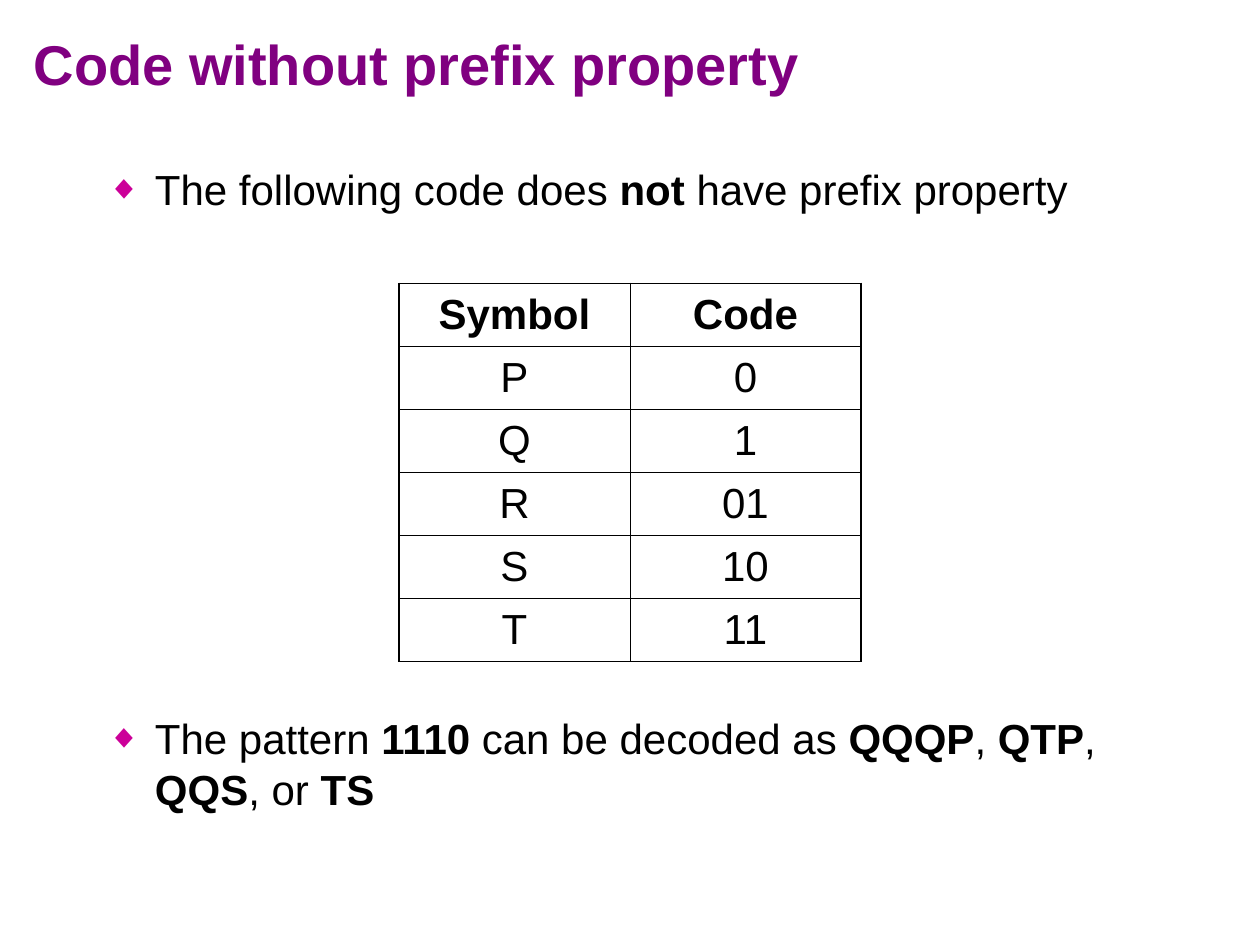
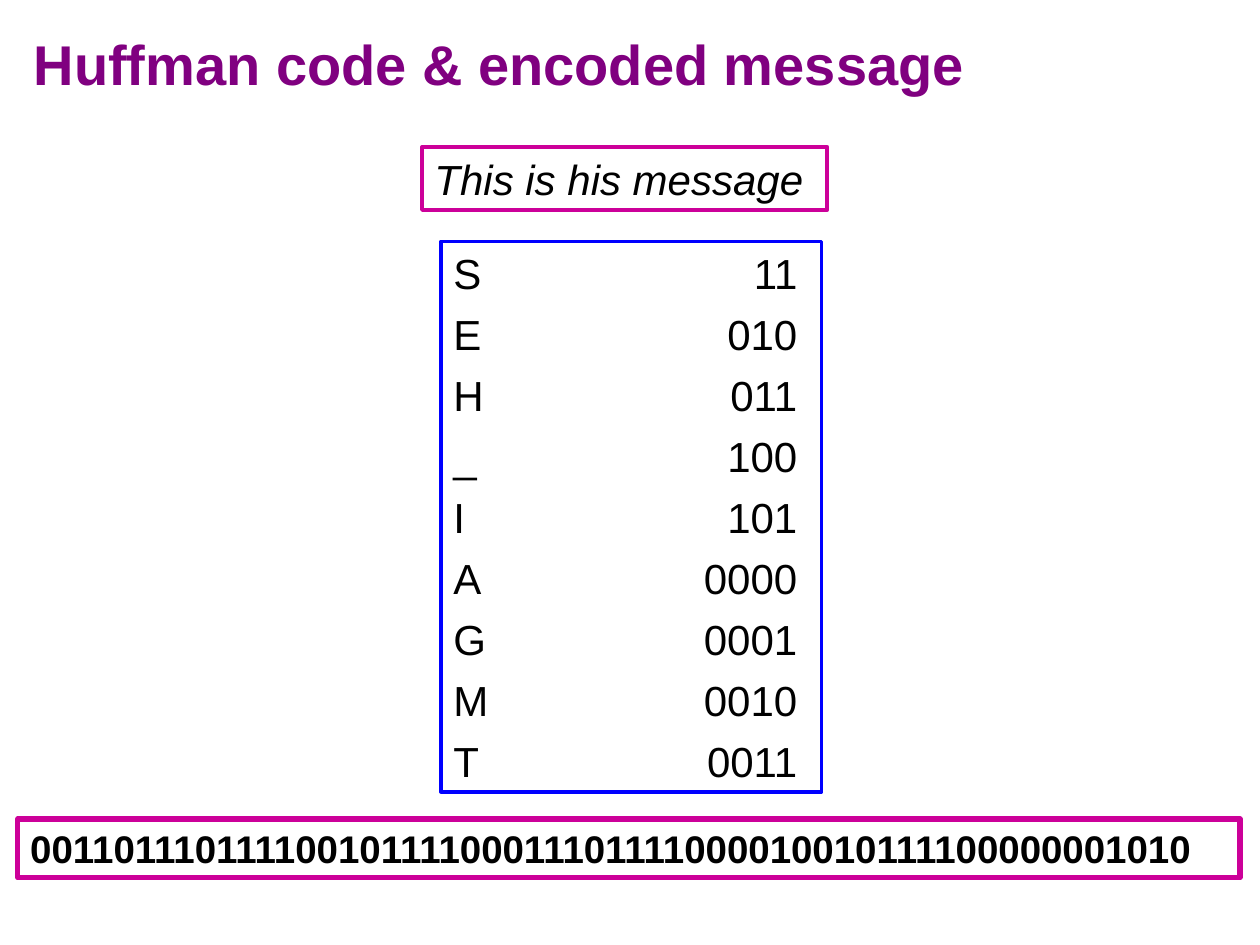
from typing import NamedTuple

from lxml import etree
from pptx import Presentation, util as u
from pptx.dml.color import RGBColor
from pptx.enum import shapes, text
from pptx.oxml import ns

# The slide is a grid of 60 columns by 45 rows.
SLIDE_W, SLIDE_H = u.Inches(10), u.Inches(7.5)
COLUMN, ROW = SLIDE_W // 60, SLIDE_H // 45

FONT = "Arial"
PURPLE, MAGENTA, BLUE, BLACK = "800080", "CC0099", "0000FF", "000000"
TITLE_SIZE, TEXT_SIZE = 32, 24
LINE_PITCH, PARAGRAPH_GAP = 28.8, 6
OUTER_BORDER, INNER_BORDER = 1.08, 0.45
CODE_TAB = 2.73


class Area(NamedTuple):
    column: float
    row: float
    columns: float
    rows: float

    def lengths(self) -> tuple[int, ...]:
        return (int(self.column * COLUMN), int(self.row * ROW),
                int(self.columns * COLUMN), int(self.rows * ROW))


class Style(NamedTuple):
    size: float = TEXT_SIZE
    color: str = BLACK
    bold: bool = False
    italic: bool = False


class Frame(NamedTuple):
    area: Area
    color: str
    weight: float
    style: Style = Style()
    wrap: bool = True


class Bullet(NamedTuple):
    """Every second phrase of the bullet's text is bold."""
    phrases: tuple[str, ...]
    gap_before: float = 0


TITLE_AREA = Area(1, 0.25, 58, 5.5)
BODY_AREA = Area(4.5, 7.5, 51, 34.5)
TABLE_AREA = Area(19, 13.5, 22, 18)
CODE_LIST = Frame(Area(21, 11.5, 18.12, 26.2), BLUE, 2.25)
MESSAGE = Frame(Area(20.1, 7, 19.3, 3), MAGENTA, 2.25, Style(italic=True), wrap=False)
ENCODED = Frame(Area(0.85, 39, 58.2, 2.8), MAGENTA, 3, Style(22, bold=True), wrap=False)

AMBIGUOUS_BULLETS = [
    Bullet(("The following code does ", "not", " have prefix property")),
    Bullet(("The pattern ", "1110", " can be decoded as ", "QQQP", ", ", "QTP",
            ", ", "QQS", ", or ", "TS"), gap_before=285),
]
AMBIGUOUS_CODE = [("Symbol", "Code"), ("P", "0"), ("Q", "1"), ("R", "01"),
                  ("S", "10"), ("T", "11")]
HUFFMAN_CODE = {"S": "11", "E": "010", "H": "011", "_": "100", "I": "101",
                "A": "0000", "G": "0001", "M": "0010", "T": "0011"}
ENCODED_MESSAGE = "00110111011110010111100011101111000010010111100000001010"


def rgb(color: str) -> RGBColor:
    return RGBColor.from_string(color)


def add_xml(parent, tag: str, **attributes):
    child = etree.SubElement(parent, ns.qn(tag))
    for key, value in attributes.items():
        child.set(key, str(value))
    return child


def format_font(font, style: Style) -> None:
    font.name = FONT
    font.size = u.Pt(style.size)
    font.bold = style.bold
    font.italic = style.italic
    font.color.rgb = rgb(style.color)


def place(shape, area: Area) -> None:
    shape.left, shape.top, shape.width, shape.height = area.lengths()


def add_titled_slide(deck, layout: int, title: str):
    slide = deck.slides.add_slide(deck.slide_layouts[layout])
    heading = slide.shapes.title
    place(heading, TITLE_AREA)
    frame = heading.text_frame
    frame.text = title
    frame.auto_size = text.MSO_AUTO_SIZE.NONE
    frame.vertical_anchor = text.MSO_ANCHOR.MIDDLE
    line = frame.paragraphs[0]
    line.alignment = text.PP_ALIGN.LEFT
    format_font(line.runs[0].font, Style(TITLE_SIZE, PURPLE, bold=True))
    return slide


def add_bullets(slide, bullets: list[Bullet]) -> None:
    body = slide.placeholders[1]
    place(body, BODY_AREA)
    frame = body.text_frame
    frame.auto_size = text.MSO_AUTO_SIZE.NONE
    for index, bullet in enumerate(bullets):
        line = frame.add_paragraph() if index else frame.paragraphs[0]
        line.line_spacing = u.Pt(LINE_PITCH)
        line.space_before = u.Pt(bullet.gap_before)
        properties = line._p.get_or_add_pPr()
        indent = u.Inches(0.38)
        properties.set("marL", str(indent))
        properties.set("indent", str(-indent))
        add_xml(add_xml(properties, "a:buClr"), "a:srgbClr", val=MAGENTA)
        add_xml(properties, "a:buSzPct", val=80000)
        add_xml(properties, "a:buFont", typeface=FONT)
        add_xml(properties, "a:buChar", char="◆")
        for position, phrase in enumerate(bullet.phrases):
            run = line.add_run()
            run.text = phrase
            format_font(run.font, Style(bold=position % 2 == 1))


def add_border(cell, side: str, weight: float) -> None:
    edge = add_xml(cell._tc.get_or_add_tcPr(), f"a:ln{side}", w=u.Pt(weight))
    add_xml(add_xml(edge, "a:solidFill"), "a:srgbClr", val=BLACK)


def add_code_table(slide, rows: list[tuple[str, str]]) -> None:
    last_row, last_column = len(rows) - 1, len(rows[0]) - 1
    table = slide.shapes.add_table(len(rows), len(rows[0]), *TABLE_AREA.lengths()).table
    table.first_row = table.horz_banding = False
    for r, values in enumerate(rows):
        for c, value in enumerate(values):
            cell = table.cell(r, c)
            cell.text = value
            cell.vertical_anchor = text.MSO_ANCHOR.MIDDLE
            line = cell.text_frame.paragraphs[0]
            line.alignment = text.PP_ALIGN.CENTER
            format_font(line.runs[0].font, Style(bold=r == 0))
            outer_sides = {"L": c == 0, "R": c == last_column,
                           "T": r == 0, "B": r == last_row}
            for side, is_outer in outer_sides.items():
                add_border(cell, side, OUTER_BORDER if is_outer else INNER_BORDER)
            cell.fill.background()


def add_framed_text(slide, look: Frame, lines: list[str], tab: float = 0) -> None:
    """Draw an outlined box of lines, with a right-aligned tab stop if given."""
    box = slide.shapes.add_shape(shapes.MSO_SHAPE.RECTANGLE, *look.area.lengths())
    box.shadow.inherit = False
    box.fill.background()
    box.line.color.rgb = rgb(look.color)
    box.line.width = u.Pt(look.weight)
    frame = box.text_frame
    frame.word_wrap = look.wrap
    frame.vertical_anchor = text.MSO_ANCHOR.TOP
    frame.text = "\n".join(lines)
    for index, line in enumerate(frame.paragraphs):
        line.alignment = text.PP_ALIGN.LEFT
        line.line_spacing = u.Pt(LINE_PITCH * look.style.size / TEXT_SIZE)
        line.space_before = u.Pt(PARAGRAPH_GAP if index else 0)
        if tab:
            stops = add_xml(line._p.get_or_add_pPr(), "a:tabLst")
            add_xml(stops, "a:tab", pos=u.Inches(tab), algn="r")
        for run in line.runs:
            format_font(run.font, look.style)


def main() -> None:
    deck = Presentation()
    deck.slide_width, deck.slide_height = SLIDE_W, SLIDE_H

    ambiguous = add_titled_slide(deck, 1, "Code without prefix property")
    add_bullets(ambiguous, AMBIGUOUS_BULLETS)
    add_code_table(ambiguous, AMBIGUOUS_CODE)

    huffman = add_titled_slide(deck, 5, "Huffman code & encoded message")
    code_lines = [f"{symbol}\t{code}" for symbol, code in HUFFMAN_CODE.items()]
    add_framed_text(huffman, CODE_LIST, code_lines, CODE_TAB)
    add_framed_text(huffman, MESSAGE, ["This is his message"])
    add_framed_text(huffman, ENCODED, [ENCODED_MESSAGE])

    deck.save("out.pptx")


if __name__ == "__main__":
    main()
